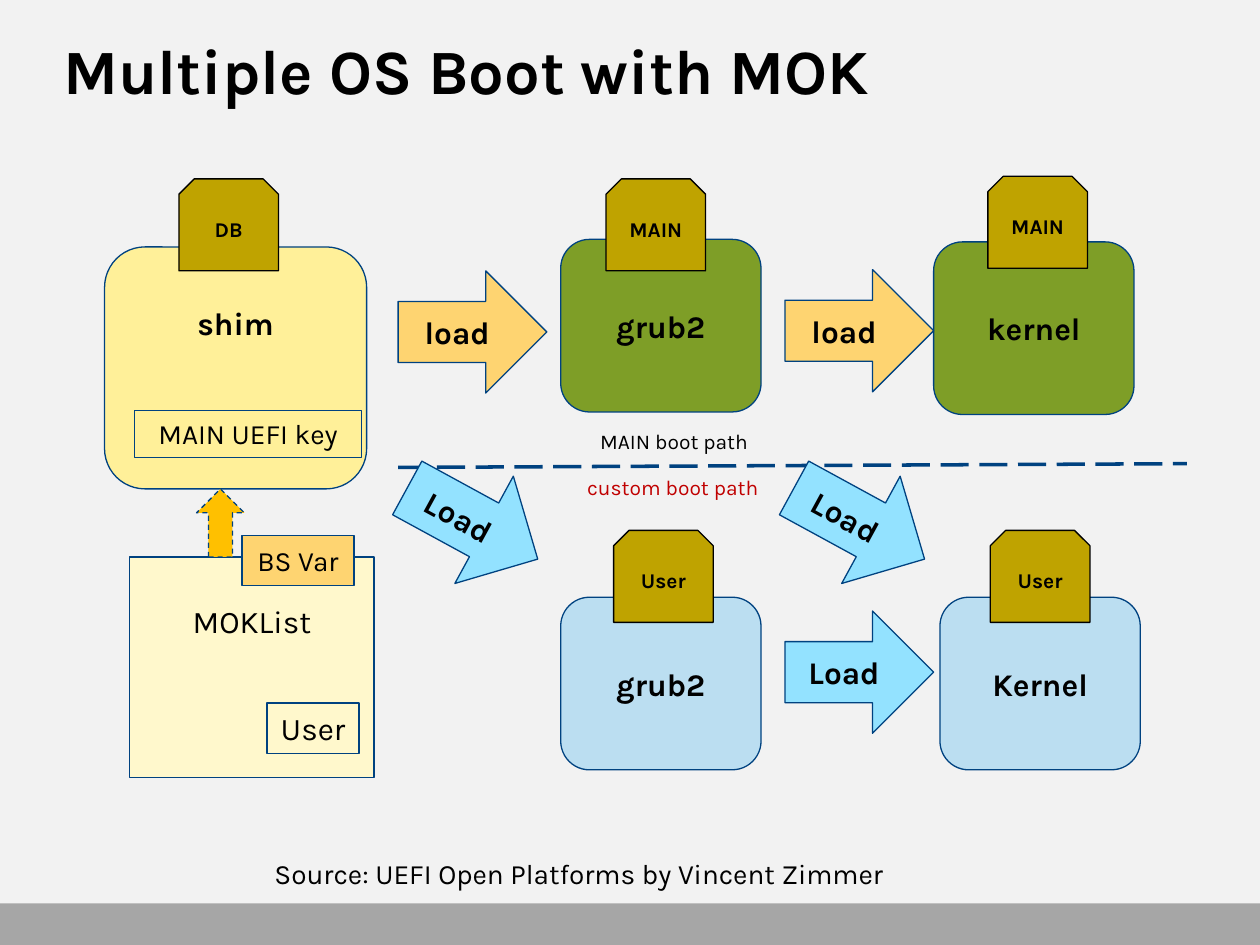
from dataclasses import dataclass

from lxml import etree
from pptx import Presentation
from pptx.dml.color import RGBColor
from pptx.enum.dml import MSO_LINE
from pptx.enum.shapes import MSO_CONNECTOR, MSO_SHAPE
from pptx.enum.text import MSO_ANCHOR, MSO_AUTO_SIZE, PP_ALIGN
from pptx.oxml.ns import qn
from pptx.util import Inches, Pt

RECTANGLE = MSO_SHAPE.RECTANGLE
ROUNDED = MSO_SHAPE.ROUNDED_RECTANGLE
SNIPPED = MSO_SHAPE.SNIP_2_SAME_RECTANGLE
ARROW = MSO_SHAPE.RIGHT_ARROW
STRAIGHT = MSO_CONNECTOR.STRAIGHT
DASH, LONG_DASH = MSO_LINE.DASH, MSO_LINE.LONG_DASH
TOP, MIDDLE = MSO_ANCHOR.TOP, MSO_ANCHOR.MIDDLE
LEFT, CENTER = PP_ALIGN.LEFT, PP_ALIGN.CENTER
FIXED_SIZE = MSO_AUTO_SIZE.NONE

SLIDE_WIDTH, SLIDE_HEIGHT = Inches(10), Inches(7.5)
COLUMN, ROW = SLIDE_WIDTH / 100, SLIDE_HEIGHT / 75
FONT = "Karla"
BLACK, NAVY, RED = "000000", "004280", "C00000"
GREEN, PALE_BLUE, SKY = "7E9E27", "BBDEF1", "93E2FF"
ORANGE, AMBER, GOLD = "FED471", "FFC000", "BFA300"
YELLOW, CREAM = "FFF099", "FFF8CC"
BACKGROUND, GREY = "F2F2F2", "A6A6A6"
MODULE_SIZE = (15.9, 13.7)
BADGE_SIZE = (7.9, 7.3)
ARROW_SIZE = (11.8, 9.7)
CAPTION_SIZE = (25.6, 3)
TILT = 28.6


@dataclass
class Block:
    column: float
    row: float
    columns: float
    rows: float
    kind: int = RECTANGLE
    text: str = ""
    fill: str | None = None
    line: str | None = NAVY
    size: int = 18
    bold: bool = True
    anchor: int = MIDDLE
    wrap: bool = True
    inset_top: float = 0.5
    rotation: float = 0
    dash: int | None = None


@dataclass
class Label:
    column: float
    row: float
    columns: float
    rows: float
    text: str
    size: int = 12
    color: str = BLACK
    alignment: int = CENTER


def rgb(color: str) -> RGBColor:
    return RGBColor.from_string(color)


def place(column: float, row: float) -> tuple[int, int]:
    return round(column * COLUMN), round(row * ROW)


def write(frame, text: str, size: int, bold: bool, color: str, alignment: int) -> None:
    paragraph = frame.paragraphs[0]
    paragraph.text = text
    paragraph.alignment = alignment
    font = paragraph.font
    font.name, font.size, font.bold = FONT, Pt(size), bold
    font.color.rgb = rgb(color)


def draw_block(slide, block: Block) -> None:
    shape = slide.shapes.add_shape(
        block.kind, *place(block.column, block.row), *place(block.columns, block.rows)
    )
    shape.shadow.inherit = False
    shape.rotation = block.rotation
    if block.fill:
        shape.fill.solid()
        shape.fill.fore_color.rgb = rgb(block.fill)
    else:
        shape.fill.background()
    if block.line:
        shape.line.color.rgb = rgb(block.line)
        shape.line.width = Pt(0.75)
        if block.dash:
            shape.line.dash_style = block.dash
    else:
        shape.line.fill.background()
    if block.text:
        frame = shape.text_frame
        frame.word_wrap = block.wrap
        frame.vertical_anchor = block.anchor
        frame.margin_top = round(block.inset_top * ROW)
        write(frame, block.text, block.size, block.bold, BLACK, CENTER)


def draw_label(slide, label: Label) -> None:
    box = slide.shapes.add_textbox(
        *place(label.column, label.row), *place(label.columns, label.rows)
    )
    box.text_frame.word_wrap = True
    write(box.text_frame, label.text, label.size, False, label.color, label.alignment)


def draw_divider(slide) -> None:
    connector = slide.shapes.add_connector(
        STRAIGHT, *place(31.6, 37.1), *place(94.2, 36.8)
    )
    connector.line.color.rgb = rgb(NAVY)
    connector.line.width = Pt(2)
    connector.line.dash_style = LONG_DASH
    etree.SubElement(connector._element.spPr, qn("a:effectLst"))


def module(column: float, row: float, text: str, fill: str) -> Block:
    return Block(column, row, *MODULE_SIZE, ROUNDED, text, fill)


def badge(column: float, row: float, text: str) -> Block:
    return Block(column, row, *BADGE_SIZE, SNIPPED, text, GOLD, BLACK, size=12)


def arrow(column: float, row: float, text: str, fill: str, rotation: float = 0) -> Block:
    return Block(column, row, *ARROW_SIZE, ARROW, text, fill, rotation=rotation)


FOOTER_BAR = Block(0, 71.7, 100, 3.3, fill=GREY, line=None)
STAGES = [
    Block(8.3, 19.6, 20.8, 19.2, ROUNDED, "shim", YELLOW, anchor=TOP, inset_top=3.6),
    Block(10.3, 44.2, 19.4, 17.5, RECTANGLE, "MOKList", CREAM, bold=False,
          anchor=TOP, inset_top=3.6),
    module(74.1, 19.2, "kernel", GREEN),
    module(44.5, 19, "grub2", GREEN),
    module(44.5, 47.4, "grub2", PALE_BLUE),
    module(74.6, 47.4, "Kernel", PALE_BLUE),
    badge(78.4, 14, "MAIN"),
    badge(78.6, 42.1, "User"),
    badge(48.1, 14.2, "MAIN"),
    badge(48.7, 42.1, "User"),
    badge(14.2, 14.2, "DB"),
    Block(21.2, 55.8, 7.3, 4, text="User", bold=False, anchor=TOP, wrap=False),
]
TRANSITIONS = [
    arrow(31.6, 21.5, "load", ORANGE),
    arrow(62.3, 21.4, "load", ORANGE),
    arrow(31.6, 36.7, "Load", SKY, TILT),
    arrow(62.3, 36.7, "Load", SKY, TILT),
    arrow(62.3, 48.5, "Load", SKY),
    Block(19.2, 42.5, 8.9, 4, text="BS Var", fill=ORANGE, size=16, bold=False),
    Block(14.8, 39.6, 5.4, 3.8, ARROW, fill=AMBER, rotation=270, dash=DASH),
    Block(10.7, 32.6, 18, 3.7, text="MAIN UEFI key", size=16, bold=False,
          anchor=TOP, wrap=False),
]
LABELS = [
    Label(20.8, 67.5, 57.5, 3.7, "Source: UEFI Open Platforms by Vincent Zimmer",
          size=16, alignment=LEFT),
    Label(40.7, 33.5, *CAPTION_SIZE, "MAIN boot path"),
    Label(40.6, 37.2, *CAPTION_SIZE, "custom boot path", color=RED),
]


def draw_title(slide) -> None:
    title = slide.shapes.title
    title.left, title.top = place(5, 2.5)
    title.width, title.height = place(90, 10.8)
    frame = title.text_frame
    frame.auto_size = FIXED_SIZE
    frame.vertical_anchor = TOP
    frame.margin_left = frame.margin_right = 0
    frame.margin_top = frame.margin_bottom = 0
    write(frame, "Multiple OS Boot with MOK", 36, True, BLACK, LEFT)


def main() -> None:
    presentation = Presentation()
    presentation.slide_width, presentation.slide_height = SLIDE_WIDTH, SLIDE_HEIGHT
    slide = presentation.slides.add_slide(presentation.slide_layouts[5])
    slide.background.fill.solid()
    slide.background.fill.fore_color.rgb = rgb(BACKGROUND)
    draw_title(slide)
    for block in [FOOTER_BAR, *STAGES]:
        draw_block(slide, block)
    draw_divider(slide)
    for block in TRANSITIONS:
        draw_block(slide, block)
    for label in LABELS:
        draw_label(slide, label)
    presentation.save("out.pptx")


if __name__ == "__main__":
    main()
